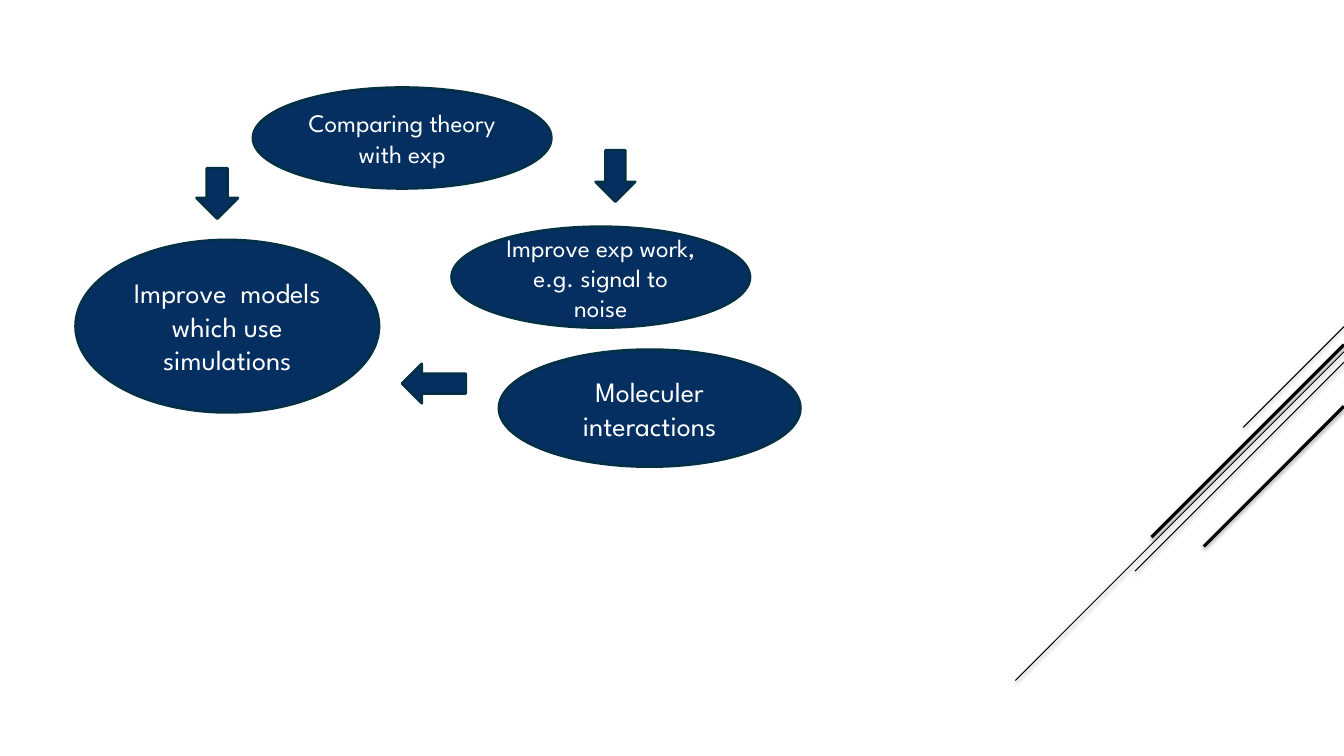
from lxml import etree
from pptx import Presentation
from pptx.dml.color import RGBColor
from pptx.enum import shapes, text
from pptx.oxml.ns import qn
from pptx.util import Pt

NAVY, EDGE, WHITE, BLACK = "052F61", "033047", "FFFFFF", "000000"
FONT = "League Spartan"
ELLIPSE = shapes.MSO_SHAPE.OVAL
DOWN = shapes.MSO_SHAPE.DOWN_ARROW
LEFT = shapes.MSO_SHAPE.LEFT_ARROW


def paint(fmt, color):
    """Give a fill or font color format a solid hex color."""
    fmt.solid()
    fmt.fore_color.rgb = RGBColor.from_string(color)


def add_block(kind, left, top, width, height):
    sp = s.shapes.add_shape(kind, Pt(left), Pt(top), Pt(width), Pt(height))
    sp.shadow.inherit = False
    paint(sp.fill, NAVY)
    paint(sp.line.fill, EDGE)
    sp.line.width = Pt(2)
    return sp


prs = Presentation()
prs.slide_width, prs.slide_height = Pt(960), Pt(540)
s = prs.slides.add_slide(prs.slide_layouts[6])
paint(s.background.fill, WHITE)

# Diagonal lines: all run at 45 degrees down from the right edge
# (start height, horizontal run, weight)
diagonals = [
    (233.3, 72, 0.75),
    (251.3, 234.7, 0.75),
    (258.7, 149.3, 0.75),
    (246.2, 137.5, 2.25),
    (290.2, 100.1, 2.25),
]
for top, run, weight in diagonals:
    line = s.shapes.add_connector(shapes.MSO_CONNECTOR.STRAIGHT,
                                  Pt(960), Pt(top), Pt(960 - run), Pt(top + run))
    paint(line.line.fill, BLACK)
    line.line.width = Pt(weight)
    # Soft shadow straight below the line
    effects = etree.SubElement(line._element.spPr, qn("a:effectLst"))
    shadow = etree.SubElement(effects, qn("a:outerShdw"), blurRad=str(Pt(3.1)),
                              dist=str(Pt(1.6)), dir="5400000", rotWithShape="0")
    tint = etree.SubElement(shadow, qn("a:srgbClr"), val=BLACK)
    etree.SubElement(tint, qn("a:alpha"), val="38000")

# Ellipses: wording, box, text size, space before, space after
steps = [
    ("Comparing theory with exp", (180.7, 62.6, 213.1, 72), 18, 0, 0),
    ("Improve  models which use simulations", (54, 171.4, 216.7, 123.1), 20, 4, 6),
    ("Improve exp work, e.g. signal to noise", (322.6, 162, 213.1, 72), 18, 0, 0),
    ("Moleculer interactions", (356.4, 249.8, 215.3, 83.5), 20, 4, 6),
]
for wording, box, size, before, after in steps:
    tf = add_block(ELLIPSE, *box).text_frame
    tf.text = wording
    tf.word_wrap = True
    tf.vertical_anchor = text.MSO_ANCHOR.MIDDLE
    p = tf.paragraphs[0]
    p.alignment = text.PP_ALIGN.CENTER
    p.space_before, p.space_after = Pt(before), Pt(after)
    r = p.runs[0]
    r.font.name, r.font.size = FONT, Pt(size)
    paint(r.font.fill, WHITE)

# Block arrows between the ellipses
arrows = [
    (DOWN, 140.4, 120.2, 29.5, 36),
    (DOWN, 425.5, 107.3, 28.1, 36.7),
    (LEFT, 287.3, 259.9, 45.4, 28.1),
]
for arrow in arrows:
    add_block(*arrow)

prs.save("out.pptx")
